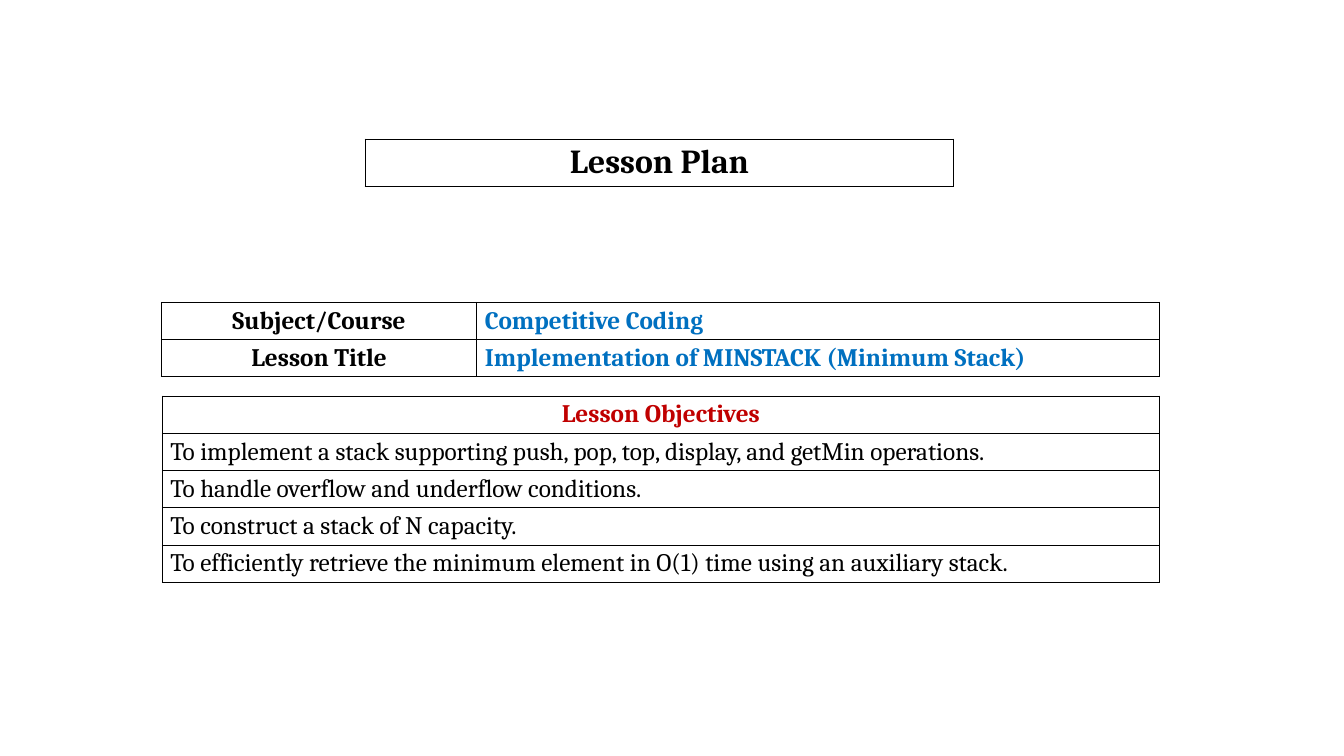
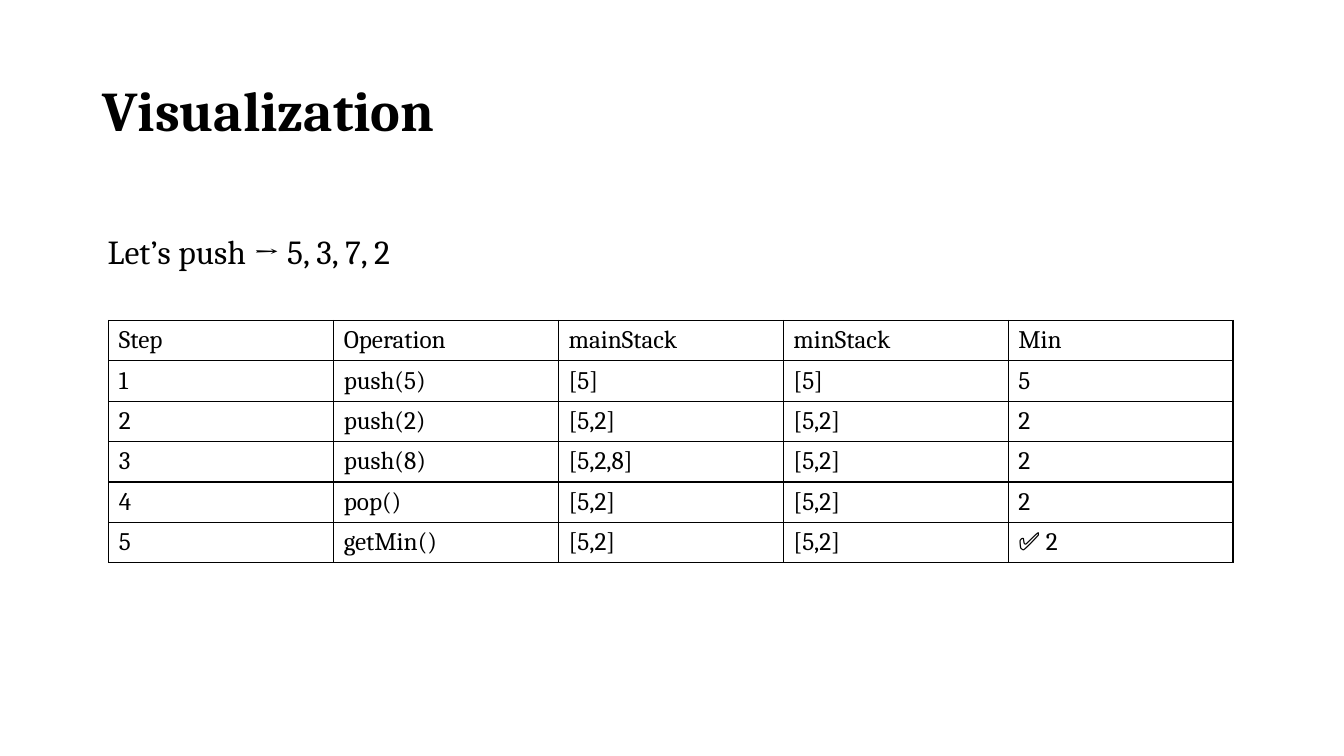
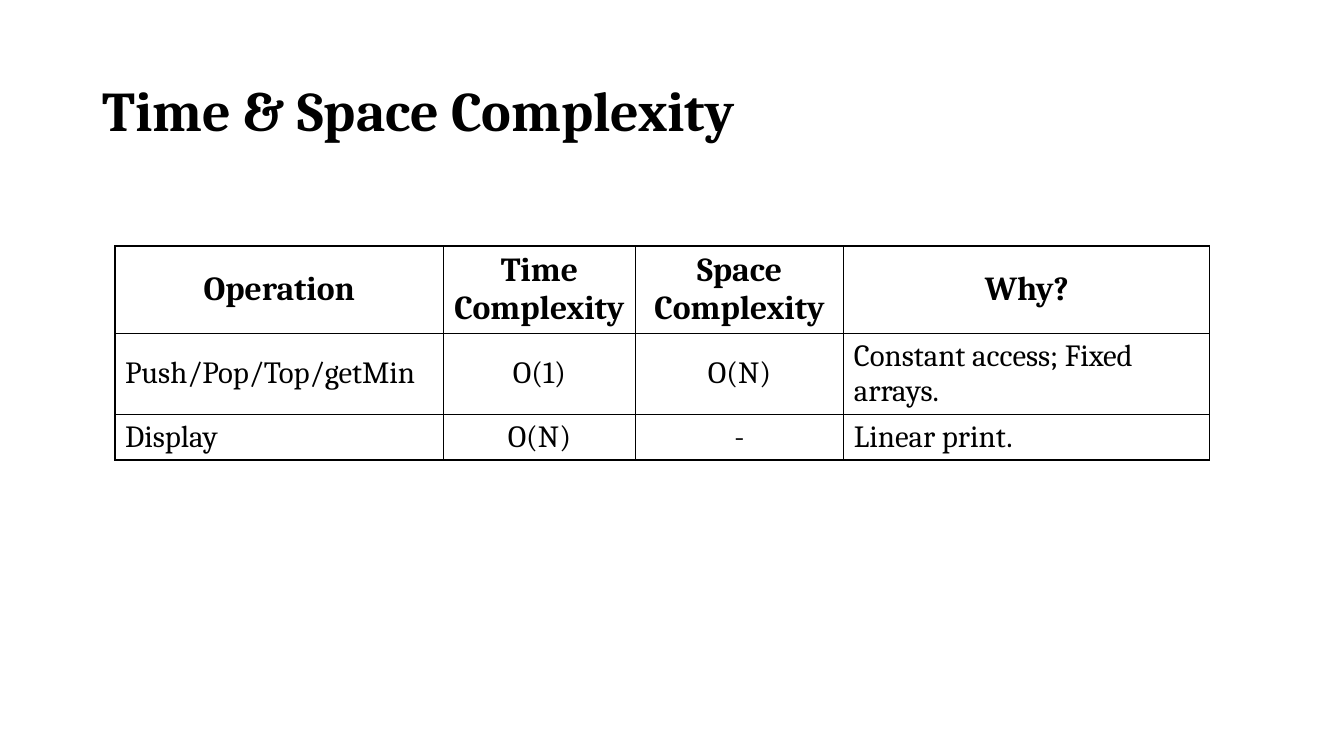
from lxml import etree
from pptx import Presentation, util as u
from pptx.dml.color import RGBColor
from pptx.enum import text
from pptx.oxml import ns

WIDE, HIGH = 13.33, 7.5
FRAME = 3.28
FONT = "Cambria"
BLACK, WHITE, BLUE, RED = "000000", "FFFFFF", "0070C0", "C00000"
LEFT, MID = text.PP_ALIGN.LEFT, text.PP_ALIGN.CENTER


def tint(code):
    """Turn a hex string into a colour."""
    return RGBColor.from_string(code)


def style(para, size, bold=False, color=BLACK, align=LEFT):
    """Format one paragraph."""
    para.alignment = align
    font = para.font
    font.name, font.size, font.bold = FONT, u.Pt(size), bold
    font.color.rgb = tint(color)


def edge(cell, width):
    """Draw a black line on all four sides of a cell."""
    props = cell._tc.get_or_add_tcPr()
    for spot, side in enumerate(("lnL", "lnR", "lnT", "lnB")):
        line = etree.Element(ns.qn("a:" + side), w=str(u.Pt(width)))
        fill = etree.SubElement(line, ns.qn("a:solidFill"))
        etree.SubElement(fill, ns.qn("a:srgbClr"), val=BLACK)
        props.insert(spot, line)


def grid(slide, spot, cols, rows, data, look, pad=(0.1, 0.05), line=1, fill=None):
    """Place a ruled table at a spot; look gives the style of a cell."""
    size = u.Inches(FRAME)
    frame = slide.shapes.add_table(
        len(rows), len(cols), *map(u.Inches, spot), size, size)
    table = frame.table
    table.first_row = table.horz_banding = False
    for col, wide in zip(table.columns, cols):
        col.width = u.Inches(wide)
    for row, high in zip(table.rows, rows):
        row.height = u.Inches(high)
    frame.width = frame.height = size
    for r, row in enumerate(data):
        for c, words in enumerate(row):
            cell = table.cell(r, c)
            cell.text = words
            cell.vertical_anchor = text.MSO_ANCHOR.MIDDLE
            cell.margin_left = cell.margin_right = u.Inches(pad[0])
            cell.margin_top = cell.margin_bottom = u.Inches(pad[1])
            if fill:
                cell.fill.solid()
                cell.fill.fore_color.rgb = tint(fill)
            else:
                cell.fill.background()
            edge(cell, line)
            style(cell.text_frame.paragraphs[0], **look(r, c))


def titled(deck, words):
    """Add a slide with the shared title style."""
    slide = deck.slides.add_slide(deck.slide_layouts[5])
    title = slide.shapes.title
    title.left, title.top = u.Inches(0.92), u.Inches(0.4)
    title.width, title.height = u.Inches(11.5), u.Inches(1.45)
    frame = title.text_frame
    frame.text = words
    frame.auto_size = text.MSO_AUTO_SIZE.NONE
    frame.vertical_anchor = text.MSO_ANCHOR.MIDDLE
    para = frame.paragraphs[0]
    para.line_spacing = 0.9
    style(para, 40, True)
    return slide


def note(slide, box, words):
    """Place one line of text in a box."""
    frame = slide.shapes.add_textbox(*map(u.Inches, box)).text_frame
    frame.word_wrap = True
    frame.auto_size = text.MSO_AUTO_SIZE.SHAPE_TO_FIT_TEXT
    frame.text = words
    style(frame.paragraphs[0], 24)


def plan(deck):
    """Build the lesson plan slide."""
    slide = deck.slides.add_slide(deck.slide_layouts[6])
    form = dict(pad=(0.08, 0.04), line=0.77, fill=WHITE)
    grid(slide, (3.62, 1.38), [5.84], [0.47], [["Lesson Plan"]],
         lambda r, c: dict(size=24, bold=True, align=MID), **form)
    grid(slide, (1.6, 3), [3.13, 6.77], [0.37] * 2, [
        ["Subject/Course", "Competitive Coding"],
        ["Lesson Title", "Implementation of MINSTACK (Minimum Stack)"],
    ], lambda r, c: dict(size=18, bold=True, color=BLUE if c else BLACK,
                         align=LEFT if c else MID), **form)
    grid(slide, (1.61, 3.93), [9.89], [0.37] * 5, [
        ["Lesson Objectives"],
        ["To implement a stack supporting push, pop, top, display, and getMin operations."],
        ["To handle overflow and underflow conditions."],
        ["To construct a stack of N capacity."],
        ["To efficiently retrieve the minimum element in O(1) time using an auxiliary stack."],
    ], lambda r, c: dict(size=18, bold=r == 0, color=BLACK if r else RED,
                         align=LEFT if r else MID), **form)


def trace(deck):
    """Build the slide that follows the stack step by step."""
    slide = titled(deck, "Visualization")
    note(slide, (0.97, 2.24, 10.94, 0.5), "Let’s push → 5, 3, 7, 2")
    grid(slide, (1.08, 3.18), [2.23] * 5, [0.25] * 6, [
        ["Step", "Operation", "mainStack", "minStack", "Min"],
        ["1", "push(5)", "[5]", "[5]", "5"],
        ["2", "push(2)", "[5,2]", "[5,2]", "2"],
        ["3", "push(8)", "[5,2,8]", "[5,2]", "2"],
        ["4", "pop()", "[5,2]", "[5,2]", "2"],
        ["5", "getMin()", "[5,2]", "[5,2]", "✅ 2"],
    ], lambda r, c: dict(size=18))


def cost(deck):
    """Build the complexity slide."""
    slide = titled(deck, "Time & Space Complexity")
    grid(slide, (1.14, 2.44), [3.26, 1.9, 2.07, 3.63], [0.33, 0.31, 0.31], [
        ["Operation", "Time Complexity", "Space Complexity", "Why?"],
        ["Push/Pop/Top/getMin", "O(1)", "O(N)", "Constant access; Fixed arrays."],
        ["Display", "O(N)", "-", "Linear print."],
    ], lambda r, c: dict(size=22 if r else 24, bold=r == 0,
                         align=LEFT if r and c in (0, 3) else MID))


def main():
    """Build and save the deck."""
    deck = Presentation()
    deck.slide_width, deck.slide_height = u.Inches(WIDE), u.Inches(HIGH)
    for build in (plan, trace, cost):
        build(deck)
    deck.save("out.pptx")


if __name__ == "__main__":
    main()
